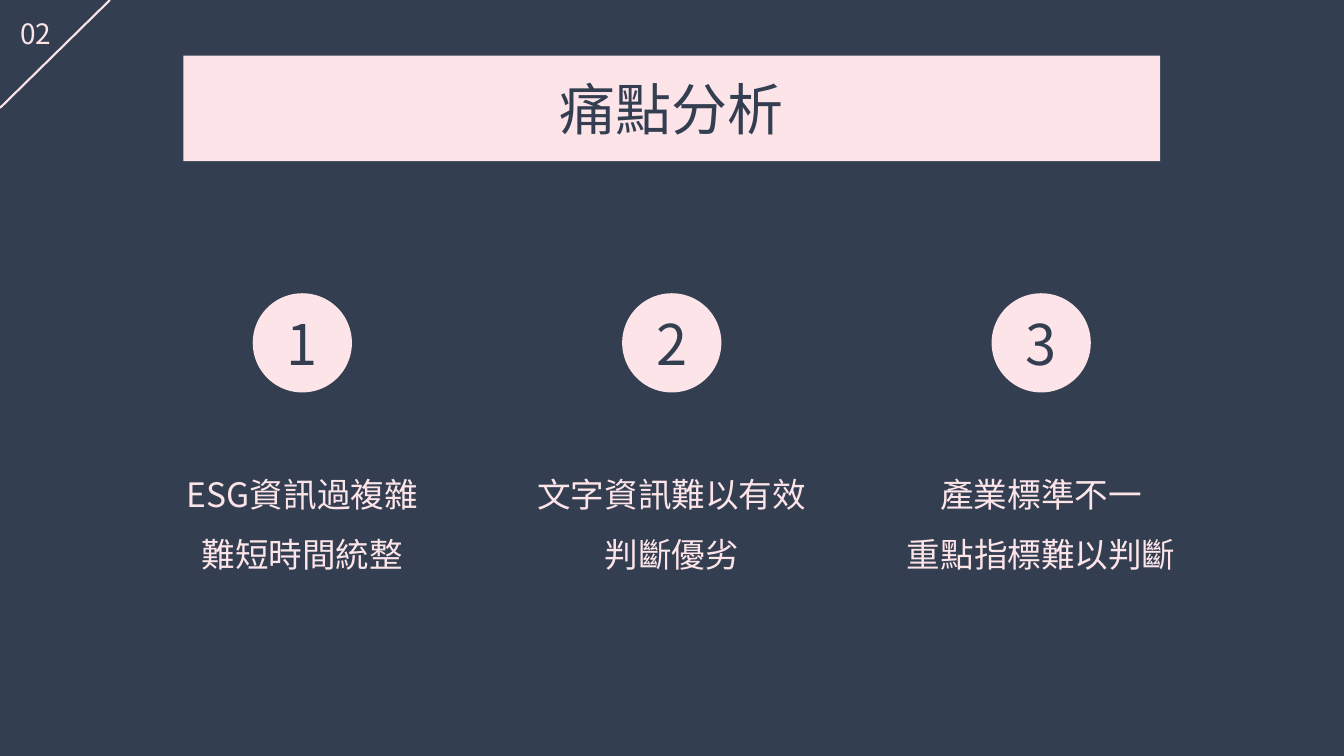
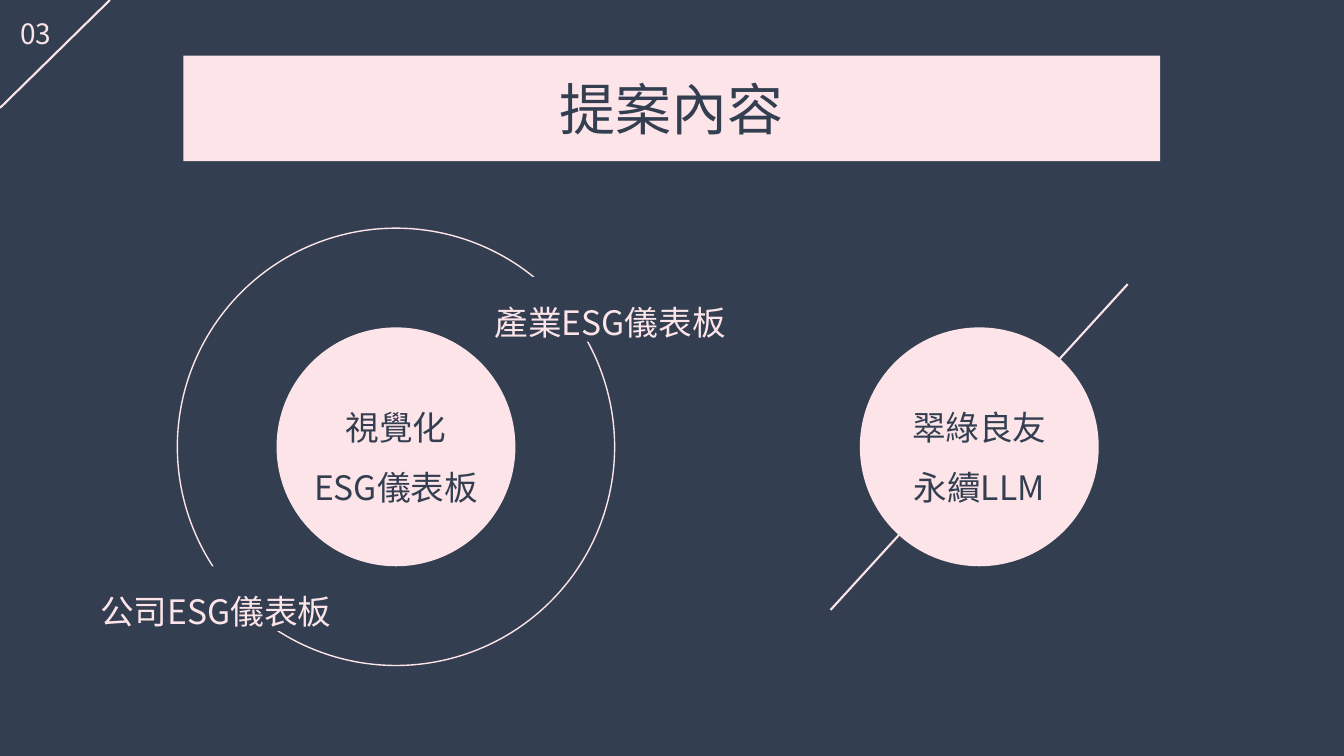
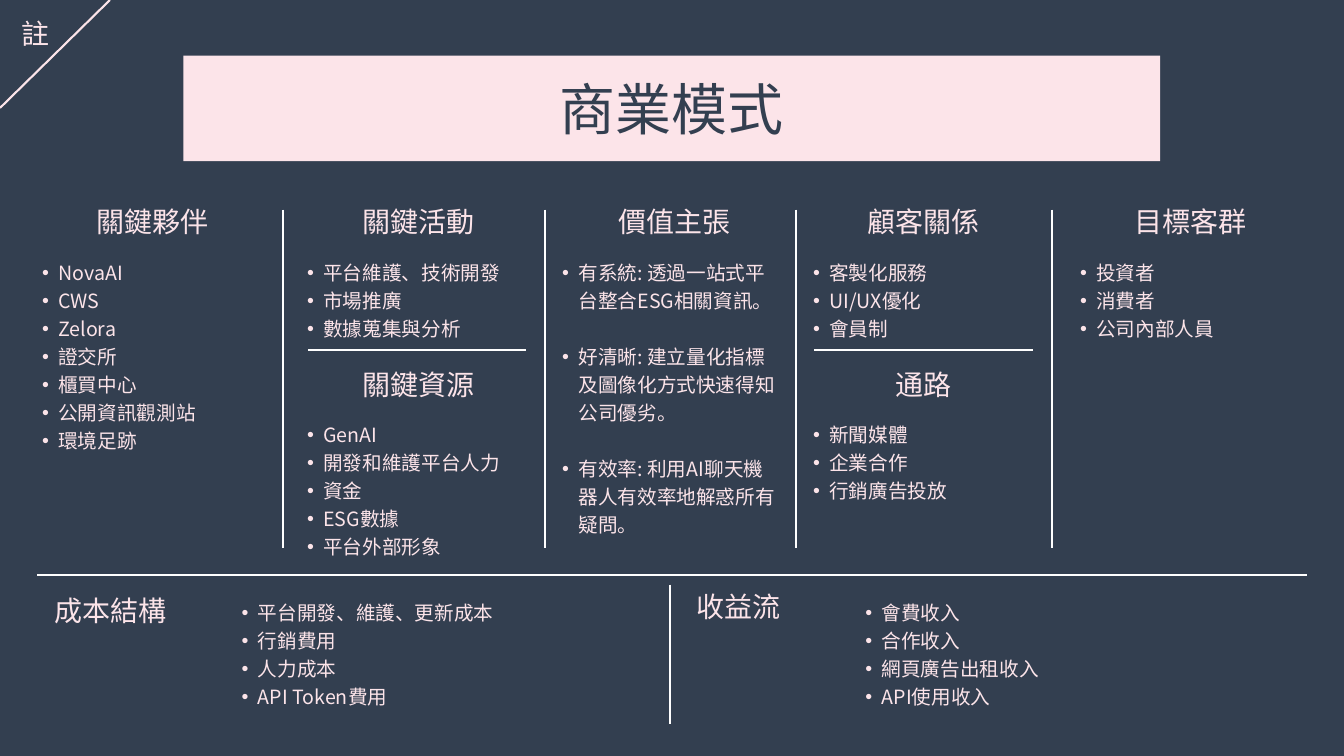
from dataclasses import dataclass

from lxml import etree
from pptx import Presentation
from pptx.dml.color import RGBColor
from pptx.enum.shapes import MSO_CONNECTOR, MSO_SHAPE
from pptx.enum.text import MSO_ANCHOR, PP_ALIGN
from pptx.oxml.ns import qn
from pptx.util import Cm, Pt

RECTANGLE, OVAL = MSO_SHAPE.RECTANGLE, MSO_SHAPE.OVAL
STRAIGHT = MSO_CONNECTOR.STRAIGHT
TOP, MIDDLE = MSO_ANCHOR.TOP, MSO_ANCHOR.MIDDLE
LEFT, CENTER = PP_ALIGN.LEFT, PP_ALIGN.CENTER


@dataclass(frozen=True)
class Theme:
    navy: RGBColor = RGBColor(0x33, 0x3F, 0x50)
    pink: RGBColor = RGBColor(0xFC, 0xE4, 0xE9)
    white: RGBColor = RGBColor(0xFF, 0xFF, 0xFF)
    font: str = "Noto Sans CJK JP"
    title: int = 40
    body: int = 24
    heading: int = 20
    item: int = 14
    item_pitch: int = 20
    loose: float = 1.5


class SlideBuilder:
    """Holds the deck, its theme and the current page; lengths are in cm."""

    def __init__(self, theme):
        self.theme = theme
        self.deck = Presentation()
        self.deck.slide_width, self.deck.slide_height = Cm(33.87), Cm(19.05)
        self.page = None

    def start(self, number, title):
        """Add a page with background, title band and numbered corner."""
        theme = self.theme
        self.page = self.deck.slides.add_slide(self.deck.slide_layouts[6])
        self.page.background.fill.solid()
        self.page.background.fill.fore_color.rgb = theme.navy
        band = self.shape(RECTANGLE, 4.62, 1.4, 24.62, 2.66, theme.pink)
        self.fill_text(band, [title], theme.title, theme.navy, anchor=MIDDLE)
        self.line(2.77, 0, 0, 2.72, theme.pink)
        self.text(0.2, 0.3, 1.4, 1.12, [number], theme.heading)

    def shape(self, kind, left, top, width, height, fill=None, outline=None):
        shape = self.page.shapes.add_shape(
            kind, Cm(left), Cm(top), Cm(width), Cm(height))
        shape.shadow.inherit = False
        if fill is None:
            shape.fill.background()
        else:
            shape.fill.solid()
            shape.fill.fore_color.rgb = fill
        if outline is None:
            shape.line.fill.background()
        else:
            shape.line.color.rgb = outline
            shape.line.width = Pt(1)
        return shape

    def circle(self, x, y, diameter, fill=None, outline=None):
        return self.shape(OVAL, x - diameter / 2, y - diameter / 2,
                          diameter, diameter, fill, outline)

    def disc(self, x, y, diameter, lines, size, spacing=None):
        """Draw a pink circle with dark text in its middle."""
        disc = self.circle(x, y, diameter, self.theme.pink)
        frame = disc.text_frame
        frame.margin_left = frame.margin_right = 0
        frame.margin_top = frame.margin_bottom = 0
        self.fill_text(disc, lines, size, self.theme.navy, spacing=spacing,
                       anchor=MIDDLE, wrap=False)

    def label(self, left, top, width, height, text):
        """Draw a background-coloured label that interrupts the ring."""
        label = self.shape(RECTANGLE, left, top, width, height, self.theme.navy)
        self.fill_text(label, [text], self.theme.body, self.theme.pink,
                       spacing=self.theme.loose)

    def line(self, x1, y1, x2, y2, color):
        line = self.page.shapes.add_connector(
            STRAIGHT, Cm(x1), Cm(y1), Cm(x2), Cm(y2))
        line.line.color.rgb = color
        line.line.width = Pt(1.5)
        etree.SubElement(line._element.spPr, qn("a:effectLst"))

    def text(self, left, top, width, height, lines, size, **style):
        box = self.page.shapes.add_textbox(
            Cm(left), Cm(top), Cm(width), Cm(height))
        self.fill_text(box, lines, size, self.theme.pink, **style)

    def bullets(self, left, top, width, items, gap=0):
        pitch = self.theme.item_pitch
        height = len(items) * 0.71 + 0.25
        self.text(left, top, width, height, items, self.theme.item, align=LEFT,
                  spacing=Pt(pitch), bullet=True, gap=gap)

    def fill_text(self, box, lines, size, color, align=CENTER, spacing=None,
                  anchor=TOP, wrap=True, bullet=False, gap=0):
        frame = box.text_frame
        frame.word_wrap = wrap
        frame.vertical_anchor = anchor
        for index, line in enumerate(lines):
            para = frame.paragraphs[0] if index == 0 else frame.add_paragraph()
            para.text = line
            para.alignment = align
            if spacing is not None:
                para.line_spacing = spacing
            if gap and index:
                para.space_before = Pt(gap)
            properties = para._p.get_or_add_pPr()
            if bullet:
                properties.set("marL", str(Cm(0.41)))
                properties.set("indent", str(-Cm(0.41)))
                etree.SubElement(properties, qn("a:buFont"), typeface="Arial")
                etree.SubElement(properties, qn("a:buChar"), char="•")
            para.font.size = Pt(size)
            para.font.color.rgb = color
            para.font.name = self.theme.font
            # East Asian text takes its own typeface
            etree.SubElement(properties.find(qn("a:defRPr")), qn("a:ea"),
                             typeface=self.theme.font)


def add_pain_points(slides):
    theme = slides.theme
    slides.start("02", "痛點分析")
    points = [
        ["ESG資訊過複雜", "難短時間統整"],
        ["文字資訊難以有效判斷優劣"],
        ["產業標準不一", "重點指標難以判斷"],
    ]
    first_x, step, text_width = 7.62, 9.31, 7.44
    for index, lines in enumerate(points):
        x = first_x + index * step
        slides.disc(x, 8.64, 2.5, [str(index + 1)], theme.title)
        slides.text(x - text_width / 2, 11.3, text_width, 3.18, lines,
                    theme.body, spacing=theme.loose)


def add_proposal(slides):
    theme = slides.theme
    slides.start("03", "提案內容")
    dashboard_x, assistant_x, middle_y = 9.98, 24.68, 11.26

    # Ring with its two labels, and the slash behind the right disc
    slides.circle(dashboard_x, middle_y, 11.02, outline=theme.pink)
    slides.label(2.06, 14.27, 6.76, 1.63, "公司ESG儀表板")
    slides.label(11.66, 6.98, 7.44, 1.63, "產業ESG儀表板")
    slides.line(28.42, 7.16, 20.93, 15.37, theme.pink)

    # Discs
    for x, lines in ((dashboard_x, ["視覺化", "ESG儀表板"]),
                     (assistant_x, ["翠綠良友", "永續LLM"])):
        slides.disc(x, middle_y, 6.02, lines, theme.body, theme.loose)


def add_business_model(slides):
    theme = slides.theme
    slides.start("註", "商業模式")

    # Columns: left edge of the items, centre of the heading, blocks, item gap
    columns = [
        (0.81, 3.85, [
            ("關鍵夥伴", ["NovaAI", "CWS", "Zelora", "證交所", "櫃買中心",
                      "公開資訊觀測站", "環境足跡"])], 0),
        (7.49, 10.55, [
            ("關鍵活動", ["平台維護、技術開發", "市場推廣", "數據蒐集與分析"]),
            ("關鍵資源", ["GenAI", "開發和維護平台人力", "資金", "ESG數據",
                      "平台外部形象"])], 0),
        (13.92, 17.01, [
            ("價值主張", ["有系統: 透過一站式平台整合ESG相關資訊。",
                      "好清晰: 建立量化指標及圖像化方式快速得知公司優劣。",
                      "有效率: 利用AI聊天機器人有效率地解惑所有疑問。"])],
         theme.item_pitch),
        (20.24, 23.28, [
            ("顧客關係", ["客製化服務", "UI/UX優化", "會員制"]),
            ("通路", ["新聞媒體", "企業合作", "行銷廣告投放"])], 0),
        (26.97, 30, [("目標客群", ["投資者", "消費者", "公司內部人員"])], 0),
    ]
    heading_width = 4.3
    for left, center, blocks, gap in columns:
        for top, (heading, items) in zip((5.03, 9.13), blocks):
            slides.text(center - heading_width / 2, top, heading_width, 1.12,
                        [heading], theme.heading)
            slides.bullets(left, top + 1.3, 6.05, items, gap)

    # Bottom row
    bottom_blocks = [
        (1.12, 14.83, "成本結構", 5.84,
         ["平台開發、維護、更新成本", "行銷費用", "人力成本", "API Token費用"]),
        (17.3, 14.73, "收益流", 21.56,
         ["會費收入", "合作收入", "網頁廣告出租收入", "API使用收入"]),
    ]
    for left, top, heading, items_left, items in bottom_blocks:
        slides.text(left, top, 4.3, 1.12, [heading], theme.heading, align=LEFT)
        slides.bullets(items_left, 14.91, 7.77, items)

    # Dividers
    for x in (7.14, 13.74, 20.07, 26.52):
        slides.line(x, 5.28, x, 13.82, theme.white)
    for x1, x2, y in ((0.94, 32.94, 14.5), (7.77, 13.26, 8.81),
                      (20.52, 26.04, 8.81)):
        slides.line(x1, y, x2, y, theme.white)
    slides.line(16.89, 14.73, 16.89, 18.24, theme.white)


def main():
    slides = SlideBuilder(Theme())
    add_pain_points(slides)
    add_proposal(slides)
    add_business_model(slides)
    slides.deck.save("out.pptx")


if __name__ == "__main__":
    main()
